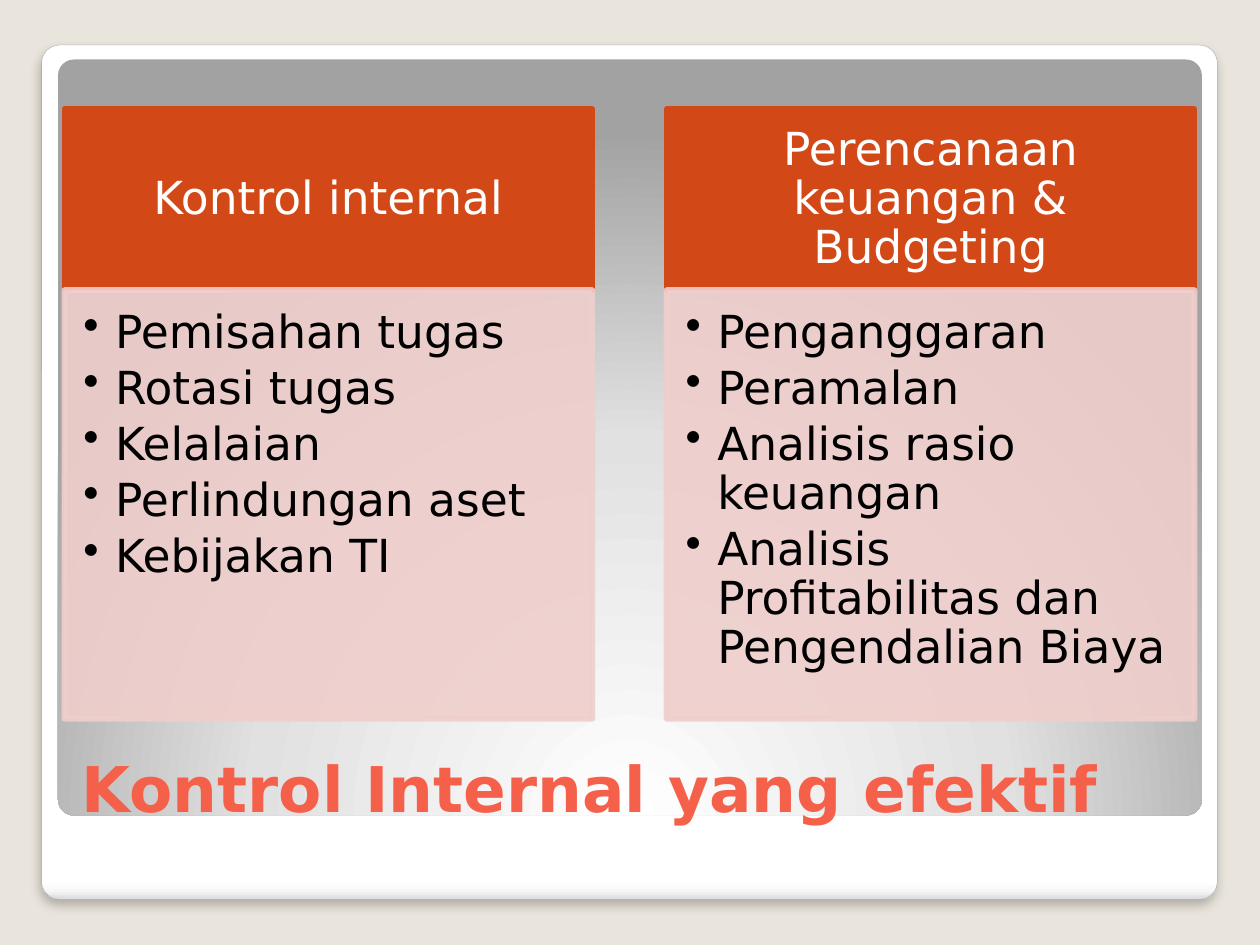
from lxml import etree
from pptx import Presentation
from pptx.dml.color import RGBColor
from pptx.enum.shapes import MSO_SHAPE
from pptx.enum.text import MSO_ANCHOR, PP_ALIGN
from pptx.oxml import parse_xml
from pptx.oxml.ns import qn
from pptx.util import Cm, Pt

RECT, ROUNDED = MSO_SHAPE.RECTANGLE, MSO_SHAPE.ROUNDED_RECTANGLE
TOP, MIDDLE, BOTTOM = MSO_ANCHOR.TOP, MSO_ANCHOR.MIDDLE, MSO_ANCHOR.BOTTOM
LEFT, CENTER = PP_ALIGN.LEFT, PP_ALIGN.CENTER
NAMESPACE = 'xmlns:a="http://schemas.openxmlformats.org/drawingml/2006/main"'
DOWNWARD = '<a:lin ang="5400000" scaled="0"/>'
GLOW = ('<a:path path="circle"><a:fillToRect l="50000" t="175000" '
        'r="50000" b="-75000"/></a:path>')
SHADOW = (f'<a:outerShdw {NAMESPACE} blurRad="76200" dist="50800" dir="5400000" '
          'algn="t" rotWithShape="0"><a:srgbClr val="000000">'
          '<a:alpha val="25000"/></a:srgbClr></a:outerShdw>')

TITLE = "Kontrol Internal yang efektif"
COLUMNS = [
    ("Kontrol internal",
     ["Pemisahan tugas", "Rotasi tugas", "Kelalaian", "Perlindungan aset",
      "Kebijakan TI"]),
    ("Perencanaan keuangan & Budgeting",
     ["Penganggaran", "Peramalan", "Analisis rasio keuangan",
      "Analisis Profitabilitas dan Pengendalian Biaya"]),
]


def rgb(value):
    return RGBColor.from_string(value)


class SlideBuilder:
    """Holds the style and the current slide, and draws each kind of element."""

    font = "DejaVu Sans"
    size = 26

    def __init__(self, slide, background):
        self.slide = slide
        slide.background.fill.solid()
        slide.background.fill.fore_color.rgb = rgb(background)

    def shape(self, kind, box):
        shape = self.slide.shapes.add_shape(kind, *map(Cm, box))
        shape.shadow.inherit = False
        return shape

    def panel(self, box, stops, direction, edge=None, shadow=False):
        panel = self.shape(ROUNDED, box)
        panel.adjustments[0] = 0.021
        colours = "".join(
            f'<a:gs pos="{position * 1000}"><a:srgbClr val="{colour}"/></a:gs>'
            for position, colour in stops)
        properties = panel.element.spPr
        properties.find(qn("a:prstGeom")).addnext(parse_xml(
            f'<a:gradFill {NAMESPACE} rotWithShape="1"><a:gsLst>{colours}</a:gsLst>'
            f'{direction}</a:gradFill>'))
        if edge:
            panel.line.color.rgb = rgb(edge)
            panel.line.width = Pt(0.16)
        else:
            panel.line.fill.background()
        if shadow:
            properties.find(qn("a:effectLst")).append(parse_xml(SHADOW))

    def block(self, box, colour, insets, anchor, opacity=100):
        block = self.shape(RECT, box)
        block.fill.solid()
        block.fill.fore_color.rgb = block.line.color.rgb = rgb(colour)
        block.line.width = Pt(3.35)
        if opacity < 100:
            for paint in block.element.spPr.iter(qn("a:srgbClr")):
                etree.SubElement(paint, qn("a:alpha"), val=str(opacity * 1000))
        return self.frame(block, insets, anchor)

    def frame(self, shape, insets, anchor):
        frame = shape.text_frame
        frame.word_wrap = True
        frame.vertical_anchor = anchor
        (frame.margin_left, frame.margin_top,
         frame.margin_right, frame.margin_bottom) = map(Cm, insets)
        return frame

    def add_text(self, paragraph, text, colour, align=LEFT, size=size, bold=False):
        paragraph.alignment = align
        run = paragraph.add_run()
        run.text = text
        run.font.name = self.font
        run.font.size = Pt(size)
        run.font.bold = bold
        run.font.color.rgb = rgb(colour)

    def title(self, box, text):
        title = self.slide.shapes.add_textbox(*map(Cm, box))
        frame = self.frame(title, (0.25, 0.13, 0.25, 0.13), BOTTOM)
        self.add_text(frame.paragraphs[0], text, "F5604A", size=36, bold=True)

    def heading(self, box, text):
        frame = self.block(box, "D34817", (0.5, 0.3, 0.5, 0.3), MIDDLE)
        frame.paragraphs[0].line_spacing = 0.9
        self.add_text(frame.paragraphs[0], text, "FFFFFF", CENTER)

    def bullets(self, box, items):
        frame = self.block(box, "EFCFCC", (0.38, 0.38, 0.5, 0.59), TOP, 90)
        for index, item in enumerate(items):
            paragraph = frame.add_paragraph() if index else frame.paragraphs[0]
            properties = paragraph._p.get_or_add_pPr()
            properties.set("marL", str(Cm(0.64)))
            properties.set("indent", str(-Cm(0.64)))
            etree.SubElement(properties, qn("a:buChar"), char="•")
            paragraph.level = 1
            paragraph.line_spacing = 0.9
            paragraph.space_after = Pt(4)
            self.add_text(paragraph, item, "000000")


def main():
    deck = Presentation()
    deck.slide_width, deck.slide_height = Cm(25.4), Cm(19.05)
    builder = SlideBuilder(deck.slides.add_slide(deck.slide_layouts[6]), "E9E5DC")
    builder.panel((0.84, 0.91, 23.7, 17.22),
                  [(0, "FFFFFF"), (98, "FFFFFF"), (99, "F7F7F7"), (100, "DADADA")],
                  DOWNWARD, edge="A4A4A4", shadow=True)
    builder.panel((1.17, 1.2, 23.06, 15.24),
                  [(0, "FFFFFF"), (55, "E1E1E1"), (100, "A2A2A2")], GLOW)
    builder.title((1.4, 13.84, 22.73, 2.92), TITLE)
    for index, (heading, items) in enumerate(COLUMNS):
        left = 1.3 + index * 12.14
        builder.heading((left, 2.2, 10.64, 3.65), heading)
        builder.bullets((left, 5.85, 10.64, 8.64), items)
    deck.save("out.pptx")


if __name__ == "__main__":
    main()
